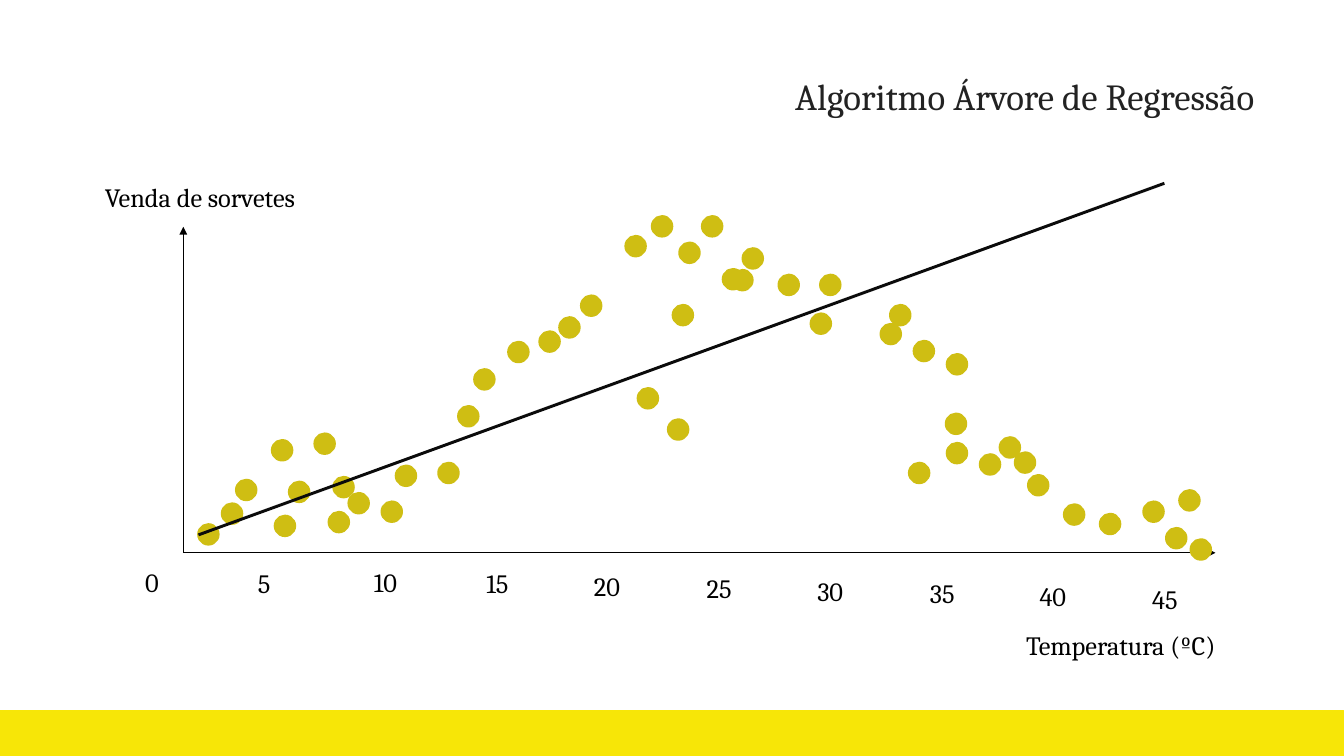
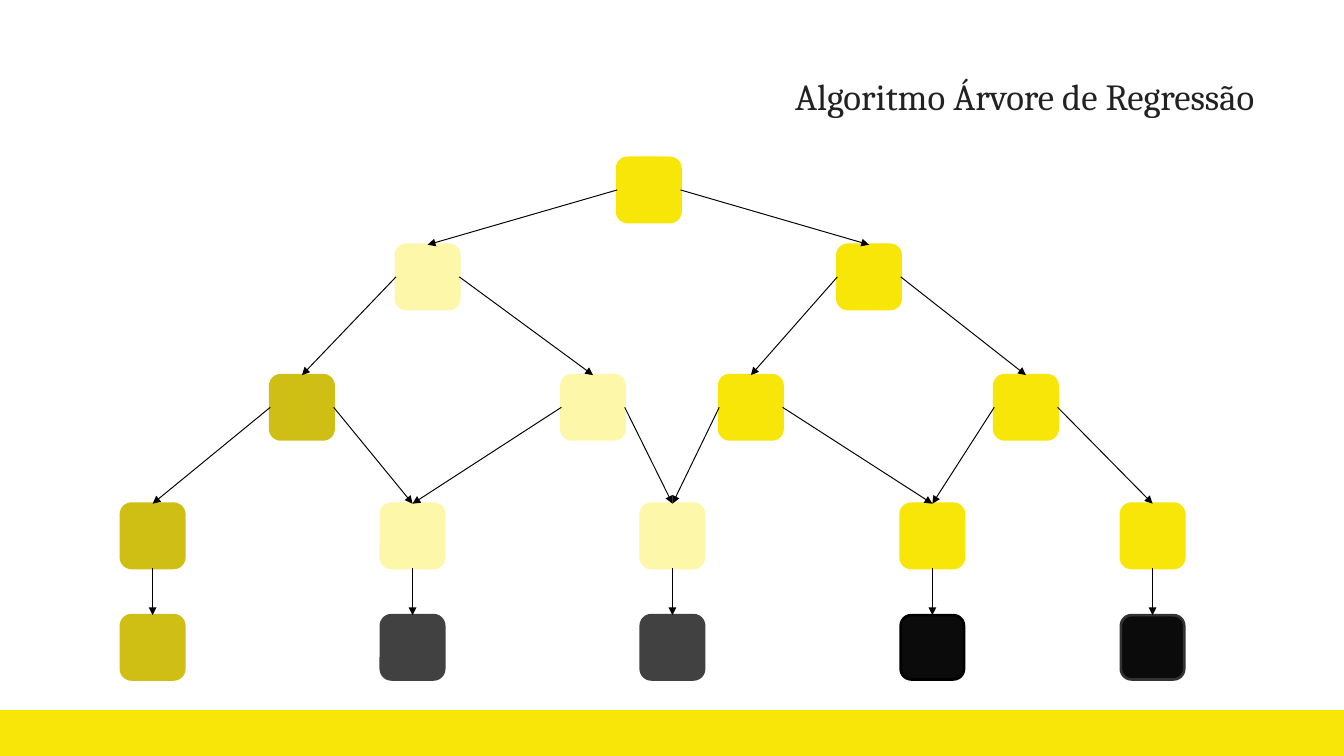
"""Build two slides on regression trees: a scatter of sales and the tree itself."""
from lxml import etree
from pptx import Presentation
from pptx.dml.color import RGBColor
from pptx.enum.shapes import MSO_CONNECTOR, MSO_SHAPE
from pptx.enum.text import MSO_ANCHOR, MSO_AUTO_SIZE, PP_ALIGN
from pptx.oxml.ns import qn
from pptx.util import Inches, Pt

STRAIGHT = MSO_CONNECTOR.STRAIGHT
OVAL, RECT, ROUNDED = MSO_SHAPE.OVAL, MSO_SHAPE.RECTANGLE, MSO_SHAPE.ROUNDED_RECTANGLE
MIDDLE, RIGHT = MSO_ANCHOR.MIDDLE, PP_ALIGN.RIGHT
GROW = MSO_AUTO_SIZE.SHAPE_TO_FIT_TEXT
TOP_SIDE, LEFT_SIDE, BOTTOM_SIDE, RIGHT_SIDE = range(4)

YELLOW = RGBColor(0xF7, 0xE6, 0x07)
PALE = RGBColor(0xFD, 0xF7, 0xA9)
OLIVE = RGBColor(0xCF, 0xBE, 0x13)
GRAY = RGBColor(0x41, 0x41, 0x41)
DARK = RGBColor(0x33, 0x33, 0x33)
TITLE_GRAY = RGBColor(0x22, 0x22, 0x22)
INK = RGBColor(0x0B, 0x0B, 0x0B)
BLACK = RGBColor(0, 0, 0)

FONT = "Cambria"
TITLE = "Algoritmo Árvore de Regressão"
SLIDE_W, SLIDE_H = 14.22, 8
DOT = 0.21
NODE_W, NODE_H = 0.67, 0.68

TICK_LEFT, TICK_STEP = 1.38, 1.18
TICK_TOPS = [5.93, 5.95, 5.93, 5.95, 5.98, 6, 6.03, 6.05, 6.08, 6.11]

DOTS = [
    (2.1, 5.55), (3.33, 4.59), (3.53, 5.05), (2.88, 4.66), (2.35, 5.33),
    (2.5, 5.08), (3.69, 5.22), (3.06, 5.1), (4.19, 4.93), (4.64, 4.9),
    (4.85, 4.3), (5.38, 3.62), (5.02, 3.91), (6.62, 2.5), (6.75, 4.11),
    (8.24, 2.91), (6.15, 3.13), (5.92, 3.36), (5.71, 3.51), (7.07, 4.44),
    (6.9, 2.29), (7.43, 2.29), (7.19, 2.57), (7.12, 3.23), (7.65, 2.85),
    (7.75, 2.86), (9.67, 3.61), (7.86, 2.63), (8.58, 3.32), (8.68, 2.91),
    (9.62, 4.9), (9.32, 3.43), (10.01, 4.38), (10.02, 3.75), (10.02, 4.69),
    (10.37, 4.81), (2.91, 5.46), (4.04, 5.31), (3.48, 5.42), (10.58, 4.63),
    (10.74, 4.79), (10.88, 5.03), (11.64, 5.44), (11.26, 5.34), (12.1, 5.31),
    (12.48, 5.19), (12.34, 5.59), (9.42, 3.23), (12.6, 5.71),
]

LEAF_LEFTS = [1.28, 4.03, 6.78, 9.53, 11.86]
LEVELS = [
    (1.67, [6.53], [YELLOW]),
    (2.59, [4.19, 8.86], [PALE, YELLOW]),
    (3.97, [2.86, 5.94, 7.61, 10.52], [OLIVE, PALE, YELLOW, YELLOW]),
    (5.33, LEAF_LEFTS, [OLIVE, PALE, PALE, YELLOW, YELLOW]),
    (6.51, LEAF_LEFTS, [OLIVE, GRAY, GRAY, INK, INK]),
]
LEAF_LINES = [OLIVE, GRAY, GRAY, BLACK, DARK]


def write(tf, text, size=20.1, color=BLACK, anchor=None, spacing=None):
    """Put one right-aligned line of text in a frame without margins."""
    tf.margin_left = tf.margin_right = tf.margin_top = tf.margin_bottom = 0
    tf.word_wrap = True
    tf.auto_size = GROW
    if anchor is not None:
        tf.vertical_anchor = anchor
    p = tf.paragraphs[0]
    p.alignment = RIGHT
    if spacing:
        p.line_spacing = Pt(spacing)
    r = p.add_run()
    r.text = text
    r.font.size, r.font.name = Pt(size), FONT
    r.font.color.rgb = color


class Deck:
    """Holds the shared style and the current slide."""

    def __init__(self):
        """Start an empty presentation."""
        self.prs = Presentation()
        self.prs.slide_width, self.prs.slide_height = Inches(SLIDE_W), Inches(SLIDE_H)
        self.s = None

    def slide(self, title):
        """Add a slide with its title and bottom band."""
        self.s = self.prs.slides.add_slide(self.prs.slide_layouts[5])
        sp = self.s.shapes.title
        sp.left, sp.top = Inches(3.94), Inches(0.78)
        sp.width, sp.height = Inches(9.33), Inches(0.47)
        write(sp.text_frame, title, size=28, color=TITLE_GRAY, anchor=MIDDLE)
        self.shape(RECT, 0, 7.52, SLIDE_W, 0.5, YELLOW, weight=0.75)

    def shape(self, kind, x, y, w, h, fill, line=None, weight=2):
        """Add a filled preset shape, outlined in its fill unless told otherwise."""
        sp = self.s.shapes.add_shape(kind, Inches(x), Inches(y), Inches(w), Inches(h))
        sp.shadow.inherit = False
        sp.fill.solid()
        sp.fill.fore_color.rgb = fill
        sp.line.color.rgb = line or fill
        sp.line.width = Pt(weight)
        return sp

    def label(self, text, x, y, w, h=0.36):
        """Add a right-aligned text box."""
        sp = self.s.shapes.add_textbox(Inches(x), Inches(y), Inches(w), Inches(h))
        write(sp.text_frame, text, spacing=28.2)

    def line(self, start=(0, 0), end=(0, 0), color=BLACK, weight=0.75, arrow=True):
        """Add a straight line, with an arrowhead at its end by default."""
        cx = self.s.shapes.add_connector(STRAIGHT, *map(Inches, start + end))
        cx.line.color.rgb = color
        cx.line.width = Pt(weight)
        sp_pr = cx.element.spPr
        if arrow:
            etree.SubElement(sp_pr.find(qn("a:ln")), qn("a:tailEnd"), type="triangle")
        etree.SubElement(sp_pr, qn("a:effectLst"))
        return cx

    def link(self, parent, side, child):
        """Join a side of the parent node to the top of the child node."""
        cx = self.line()
        cx.begin_connect(parent, side)
        cx.end_connect(child, TOP_SIDE)


def sales_slide(deck):
    """Draw ice cream sales against temperature with a straight fit."""
    deck.slide(TITLE)
    deck.line((1.94, 5.85), (1.94, 2.4))
    deck.line((1.94, 5.85), (12.86, 5.85))
    deck.label("Temperatura (ºC)", 8.51, 6.6, 4.35)
    deck.label("Venda de sorvetes", 0.53, 1.86, 2.59)
    for i, top in enumerate(TICK_TOPS):
        value = str(5 * i)
        deck.label(value, TICK_LEFT + i * TICK_STEP, top, 0.3 if len(value) == 1 else 0.46)
    for x, y in DOTS:
        deck.shape(OVAL, x, y, DOT, DOT, OLIVE)
    deck.line((2.1, 5.66), (12.32, 1.94), color=INK, weight=2.25, arrow=False)


def tree_slide(deck):
    """Draw the tree, whose third level shares neighbouring children."""
    deck.slide(TITLE)
    rows = []
    for top, lefts, fills in LEVELS:
        lines = LEAF_LINES if top == LEVELS[-1][0] else fills
        rows.append([deck.shape(ROUNDED, x, top, NODE_W, NODE_H, fill, line)
                     for x, fill, line in zip(lefts, fills, lines)])
    for parents, children, step in zip(rows, rows[1:], (2, 2, 1)):
        for i, parent in enumerate(parents):
            deck.link(parent, LEFT_SIDE, children[step * i])
            deck.link(parent, RIGHT_SIDE, children[step * i + 1])
    for parent, leaf in zip(rows[-2], rows[-1]):
        deck.link(parent, BOTTOM_SIDE, leaf)


def main():
    """Build and save the deck."""
    deck = Deck()
    sales_slide(deck)
    tree_slide(deck)
    deck.prs.save("out.pptx")


if __name__ == "__main__":
    main()
